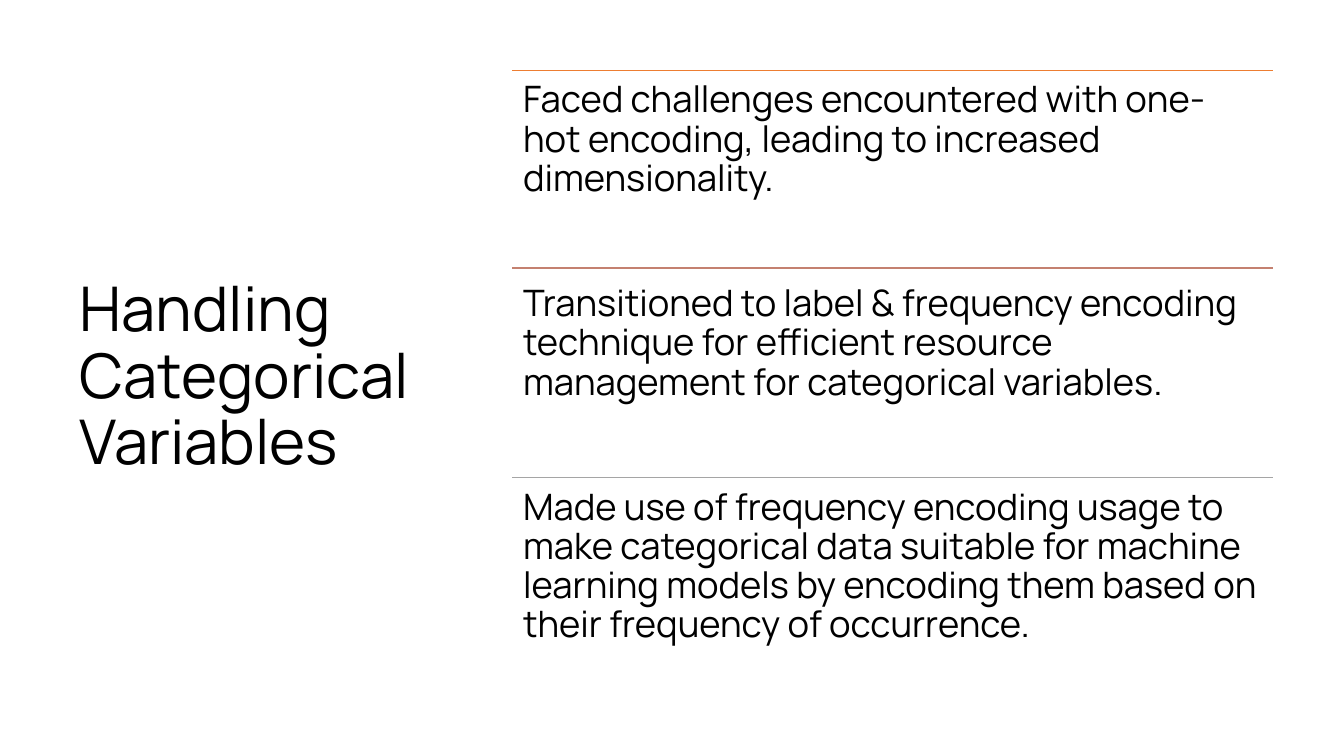
from dataclasses import dataclass

from lxml.etree import SubElement
from pptx import Presentation
from pptx.dml.color import RGBColor
from pptx.enum.shapes import MSO_CONNECTOR
from pptx.enum.text import MSO_ANCHOR
from pptx.oxml.ns import qn
from pptx.util import Pt


@dataclass(frozen=True)
class Theme:
    font: str = "Manrope"
    ink: str = "000000"
    paper: str = "FFFFFF"
    rules: tuple = ("ED7D31", "C48170", "A5A5A5")
    head: float = 44
    body: float = 26
    lead: float = 0.9
    rule: float = 1


THEME = Theme()

POINTS = (
    "Faced challenges encountered with one-hot encoding, leading to increased dimensionality.",
    "Transitioned to label & frequency encoding technique for efficient resource "
    "management for categorical variables.",
    "Made use of frequency encoding usage to make categorical data suitable for machine "
    "learning models by encoding them based on their frequency of occurrence.",
)


def add_text(slide, box, text, *, size, anchor=MSO_ANCHOR.TOP, pad=(7.2, 3.6)):
    shape = slide.shapes.add_textbox(*map(Pt, box))
    frame = shape.text_frame
    frame.word_wrap = True
    frame.vertical_anchor = anchor
    frame.margin_left = frame.margin_right = Pt(pad[0])
    frame.margin_top = frame.margin_bottom = Pt(pad[1])
    para = frame.paragraphs[0]
    para.line_spacing = THEME.lead
    run = para.add_run()
    run.text = text
    run.font.name = THEME.font
    run.font.size = Pt(size)
    run.font.color.rgb = RGBColor.from_string(THEME.ink)


def add_rule(slide, left, top, width, color):
    line = slide.shapes.add_connector(
        MSO_CONNECTOR.STRAIGHT, Pt(left), Pt(top), Pt(left + width), Pt(top)
    )
    line.line.color.rgb = RGBColor.from_string(color)
    line.line.width = Pt(THEME.rule)
    SubElement(line._element.spPr, qn("a:effectLst"))


def add_title(slide, box):
    add_text(slide, box, "Handling Categorical Variables",
             size=THEME.head, anchor=MSO_ANCHOR.MIDDLE)


def add_points(slide, box):
    """Stack the points in equal rows, each under its own rule."""
    left, top, width, height = box
    row = height / len(POINTS)
    lifts = (0, 4.3, 0)  # the middle rule sits a little above its row
    for i, (text, color, lift) in enumerate(zip(POINTS, THEME.rules, lifts)):
        y = top + i * row
        add_rule(slide, left, y - lift, width, color)
        add_text(slide, (left, y, width, row), text, size=THEME.body, pad=(7.8, 7.8))


def main():
    deck = Presentation()
    deck.slide_width, deck.slide_height = Pt(960), Pt(540)
    slide = deck.slides.add_slide(deck.slide_layouts[6])
    fill = slide.background.fill
    fill.solid()
    fill.fore_color.rgb = RGBColor.from_string(THEME.paper)
    add_title(slide, (49.8, 50.4, 269.3, 440))
    add_points(slide, (365.8, 50.4, 543.6, 436.3))
    deck.save("out.pptx")


if __name__ == "__main__":
    main()
